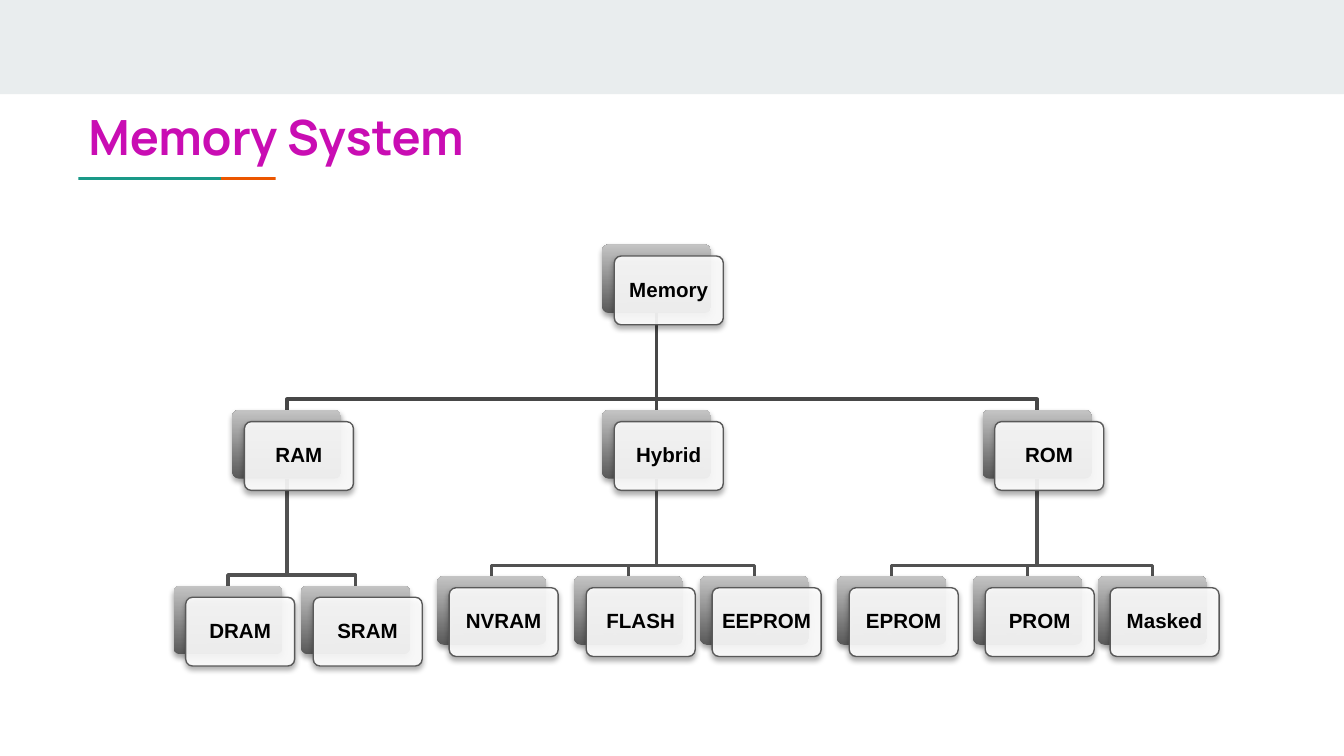
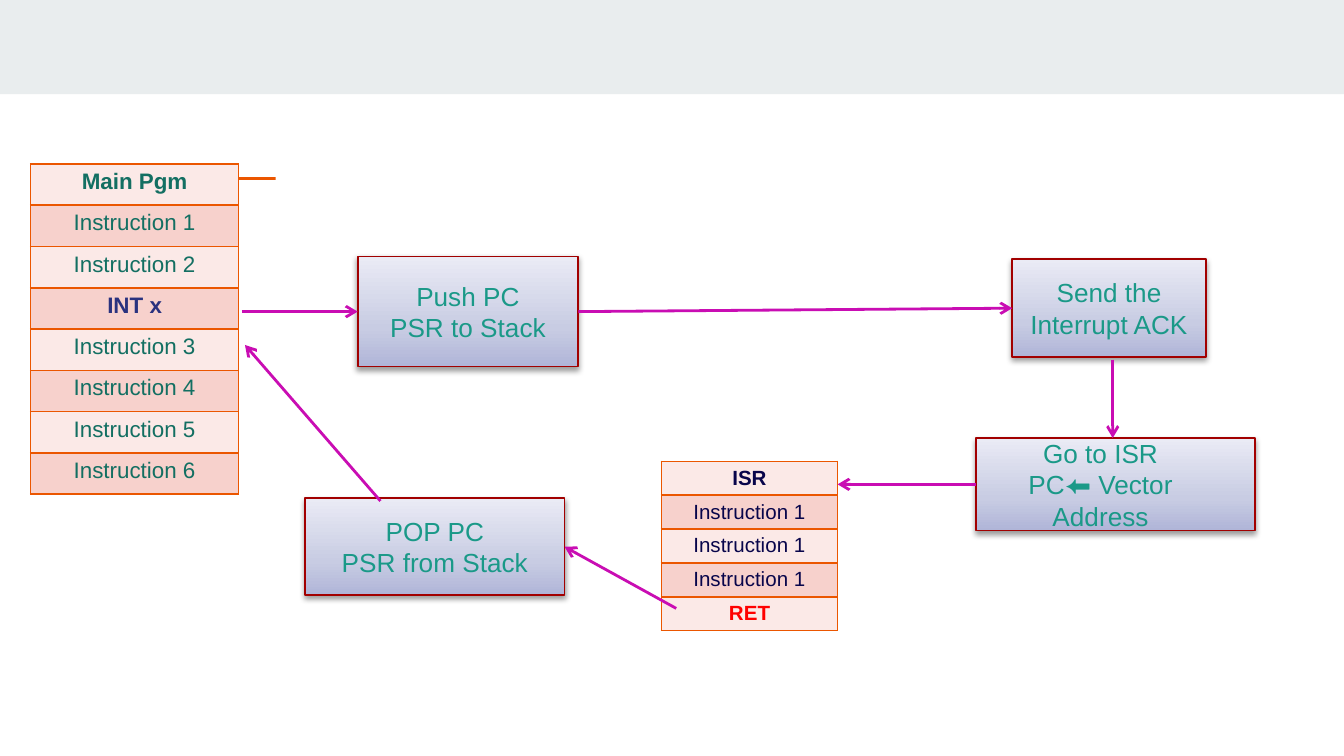
from collections import namedtuple
from dataclasses import dataclass

from lxml.etree import SubElement
from pptx import Presentation
from pptx.dml.color import RGBColor
from pptx.enum.shapes import MSO_CONNECTOR as Connector, MSO_SHAPE as Preset
from pptx.enum.text import MSO_ANCHOR as Anchor, PP_ALIGN as Align
from pptx.oxml import parse_xml
from pptx.oxml.ns import nsdecls, qn
from pptx.util import Cm, Pt


@dataclass(frozen=True)
class Theme:
    title_font: str = "Manrope"
    body_font: str = "Arial"
    title_size: float = 26
    step_size: float = 14
    program_size: float = 12
    small_size: float = 11
    band: str = "E9EDEE"
    teal: str = "1A9988"
    orange: str = "EB5600"
    magenta: str = "C90DB3"
    white: str = "FFFFFF"
    black: str = "000000"
    card_line: str = "595959"
    card_stops: tuple = ((0, "595959"), (100, "C4C4C4"))
    root_link: str = "474747"
    leaf_link: str = "515151"
    step_line: str = "A20000"
    step_stops: tuple = ((0, "B0B5D8"), (35, "C8CCE3"), (100, "EAEBF5"))
    row_fills: tuple = ("FBE9E7", "F7D1CC")
    program_text: str = "136F62"
    interrupt_text: str = "2A327F"
    routine_text: str = "08054B"
    return_text: str = "FF0000"


class Box(namedtuple("Box", "left top width height")):
    @property
    def right(self):
        return self.left + self.width

    @property
    def bottom(self):
        return self.top + self.height

    @property
    def middle(self):
        return self.top + self.height / 2

    def inner(self, left, top, width, height):
        return Box(self.left + left, self.top + top, width, height)

    def point(self, x, y):
        return self.left + x, self.top + y


THEME = Theme()
SLIDE = Box(0, 0, 25.4, 14.29)
CARD_SIZE = (2.06, 1.3)
MEMORY_TREE = (
    "Memory", 8.1, 0, (
        ("RAM", 1.11, 3.13, (("DRAM", 0, 6.45, ()), ("SRAM", 2.41, 6.45, ()))),
        ("Hybrid", 8.1, 3.13, (
            ("NVRAM", 4.98, 6.27, ()),
            ("FLASH", 7.57, 6.27, ()),
            ("EEPROM", 9.95, 6.27, ()),
        )),
        ("ROM", 15.29, 3.13, (
            ("EPROM", 12.54, 6.27, ()),
            ("PROM", 15.11, 6.27, ()),
            ("Masked", 17.47, 6.27, ()),
        )),
    ),
)


def set_values(target, values):
    for name, value in values.items():
        setattr(target, name, value)


def lengths(values):
    return [Cm(value) for value in values]


def color(code):
    return RGBColor.from_string(code)


def set_line(line, code, width):
    line.color.rgb = color(code)
    line.width = Pt(width)


def write_paragraph(paragraph, text, size, code, font=THEME.body_font, bold=False, align=Align.CENTER):
    paragraph.alignment = align
    run = paragraph.add_run()
    run.text = text
    set_values(run.font, {"name": font, "size": Pt(size), "bold": bold})
    run.font.color.rgb = color(code)


def set_frame(frame, margin, anchor):
    set_values(frame, {"word_wrap": True, "vertical_anchor": anchor})
    sides = ("margin_left", "margin_top", "margin_right", "margin_bottom")
    set_values(frame, dict.fromkeys(sides, Cm(margin)))


def add_block(slide, box, fill=None, preset=Preset.RECTANGLE):
    shape = slide.shapes.add_shape(preset, *lengths(box))
    shape.shadow.inherit = False
    shape.line.fill.background()
    if fill:
        shape.fill.solid()
        shape.fill.fore_color.rgb = color(fill)
    return shape


def set_gradient(shape, stops):
    shape.fill.background()
    marks = "".join(
        f'<a:gs pos="{place * 1000}"><a:srgbClr val="{code}"/></a:gs>' for place, code in stops
    )
    gradient = parse_xml(
        f'<a:gradFill {nsdecls("a")} rotWithShape="1"><a:gsLst>{marks}</a:gsLst>'
        '<a:lin ang="16200000" scaled="0"/></a:gradFill>'
    )
    properties = shape._element.spPr
    properties.replace(properties.find(qn("a:noFill")), gradient)


def add_shadow(shape, alpha, distance):
    effects = shape._element.spPr.find(qn("a:effectLst"))
    effects.append(parse_xml(
        f'<a:outerShdw {nsdecls("a")} blurRad="{Pt(3.1)}" dist="{Pt(distance)}" dir="5400000" '
        f'rotWithShape="0"><a:srgbClr val="{THEME.black}"><a:alpha val="{alpha * 1000}"/>'
        '</a:srgbClr></a:outerShdw>'
    ))


def add_line(slide, start, end, code, width, arrow=False):
    connector = slide.shapes.add_connector(Connector.STRAIGHT, *lengths(start + end))
    set_line(connector.line, code, width)
    if arrow:
        SubElement(connector.line._get_or_add_ln(), qn("a:tailEnd"), type="arrow")
    SubElement(connector._element.spPr, qn("a:effectLst"))


def add_backdrop(slide, box):
    add_block(slide, box.inner(0, 0, box.width, 1.78), THEME.band)
    add_block(slide, box.inner(1.48, 3.35, 2.7, 0.05), THEME.teal)
    add_block(slide, box.inner(4.18, 3.35, 1.03, 0.05), THEME.orange)


def add_title(slide, box, text):
    frame = slide.shapes.add_textbox(*lengths(box)).text_frame
    set_frame(frame, 0.25, Anchor.TOP)
    write_paragraph(frame.paragraphs[0], text, THEME.title_size, THEME.magenta,
                    THEME.title_font, True, Align.LEFT)


def add_card(slide, box, text):
    back = add_block(slide, box, preset=Preset.ROUNDED_RECTANGLE)
    set_gradient(back, THEME.card_stops)
    front = add_block(slide, box.inner(0.23, 0.22, box.width, box.height),
                      THEME.white, Preset.ROUNDED_RECTANGLE)
    SubElement(front._element.spPr.find(qn("a:solidFill"))[0], qn("a:alpha"), val="90000")
    set_line(front.line, THEME.card_line, 0.75)
    for shape in (back, front):
        shape.adjustments[0] = 0.1
        add_shadow(shape, 35, 1.8)
    set_frame(front.text_frame, 0.12, Anchor.MIDDLE)
    paragraph = front.text_frame.paragraphs[0]
    paragraph.line_spacing = 0.9
    write_paragraph(paragraph, text, THEME.small_size, THEME.black, bold=True)


def add_link(slide, parent, child, code):
    start, end = ((card.left + card.width / 2) for card in (parent, child))
    if start == end:
        add_line(slide, (start, parent.bottom), (end, child.top), code, 2)
        return
    turn = child.top - 0.2
    points = [lengths(point) for point in
              ((start, parent.bottom), (start, turn), (end, turn), (end, child.top))]
    builder = slide.shapes.build_freeform(*points[0])
    builder.add_line_segments(points[1:], close=False)
    shape = builder.convert_to_shape()
    shape.shadow.inherit = False
    shape.fill.background()
    set_line(shape.line, code, 2)


def add_links(slide, box, node, code):
    _, left, top, children = node
    parent = box.inner(left, top, *CARD_SIZE)
    for child in children:
        add_links(slide, box, child, THEME.leaf_link)
        add_link(slide, parent, box.inner(child[1], child[2], *CARD_SIZE), code)


def add_cards(slide, box, node):
    text, left, top, children = node
    add_card(slide, box.inner(left, top, *CARD_SIZE), text)
    for child in children:
        add_cards(slide, box, child)


def add_listing(slide, box, rows, size):
    frame = slide.shapes.add_table(len(rows), 1, *lengths(box))
    table = frame.table
    set_values(table, {"first_row": False, "horz_banding": False})
    for index, (text, code, bold) in enumerate(rows):
        table.rows[index].height = Cm(box.height / len(rows))
        cell = table.cell(index, 0)
        set_values(cell, {"margin_left": Cm(0.25), "margin_right": Cm(0.25),
                          "margin_top": Cm(0.1), "margin_bottom": Cm(0.1)})
        properties = cell._tc.get_or_add_tcPr()
        for side in "LRTB":
            properties.append(parse_xml(
                f'<a:ln{side} {nsdecls("a")} w="{Pt(1)}"><a:solidFill>'
                f'<a:srgbClr val="{THEME.orange}"/></a:solidFill></a:ln{side}>'
            ))
        cell.fill.solid()
        cell.fill.fore_color.rgb = color(THEME.row_fills[index % 2])
        write_paragraph(cell.text_frame.paragraphs[0], text, size, code, bold=bold)


def add_step(slide, box, lines):
    shape = add_block(slide, box)
    set_gradient(shape, THEME.step_stops)
    set_line(shape.line, THEME.step_line, 1)
    add_shadow(shape, 38, 1.6)
    frame = shape.text_frame
    set_frame(frame, 0.25, Anchor.MIDDLE)
    set_values(frame, {"margin_top": Cm(0.13), "margin_bottom": Cm(0.13)})
    for index, text in enumerate(lines):
        paragraph = frame.add_paragraph() if index else frame.paragraphs[0]
        write_paragraph(paragraph, text, THEME.step_size, THEME.teal)
    return shape


def add_interrupt_flow(slide, box):
    program = box.inner(0, 0, 3.93, 6.24)
    push = box.inner(6.18, 1.75, 4.17, 2.08)
    acknowledge = box.inner(18.55, 1.8, 3.66, 1.85)
    routine = box.inner(11.92, 5.62, 3.33, 3.2)
    pop = box.inner(5.19, 6.32, 4.9, 1.83)
    jump = box.inner(17.86, 5.18, 5.28, 1.75)

    program_rows = [(f"Instruction {number}", THEME.program_text, False) for number in range(1, 7)]
    program_rows.insert(0, ("Main Pgm", THEME.program_text, True))
    program_rows.insert(3, ("INT x", THEME.interrupt_text, True))
    add_listing(slide, program, program_rows, THEME.program_size)
    add_step(slide, push, ("Push PC", "PSR to Stack"))
    add_step(slide, acknowledge, ("Send the Interrupt ACK",))
    routine_rows = [("ISR", THEME.routine_text, True)]
    routine_rows += [("Instruction 1", THEME.routine_text, False)] * 3
    routine_rows.append(("RET", THEME.return_text, True))
    add_listing(slide, routine, routine_rows, THEME.small_size)
    add_step(slide, pop, ("POP PC", "PSR from Stack"))
    jump_step = add_step(slide, jump, ("Go to ISR", "PC⬅ Vector Address"))
    first_line = jump_step.text_frame.paragraphs[0]
    first_line._p.get_or_add_pPr().set("marR", str(Cm(0.56)))

    down = acknowledge.left + 1.9
    arrows = (
        ((down, acknowledge.bottom + 0.05), (down, jump.top)),
        (routine.point(0.28, 2.78), (pop.right, pop.middle)),
        (pop.point(1.42, 0.05), program.point(4.05, 3.42)),
        ((push.right, push.middle), (acknowledge.left, acknowledge.middle)),
        ((jump.left, jump.middle), (routine.right, jump.middle)),
        ((program.right + 0.06, push.middle), (push.left, push.middle)),
    )
    for start, end in arrows:
        add_line(slide, start, end, THEME.magenta, 1.5, arrow=True)


def build_memory_slide(slide, box):
    add_backdrop(slide, box)
    tree = box.inner(3.28, 4.62, 19.76, 7.97)
    add_links(slide, tree, MEMORY_TREE, THEME.root_link)
    add_cards(slide, tree, MEMORY_TREE)
    add_title(slide, box.inner(1.42, 1.78, 21.36, 1.5), "Memory System")


def build_interrupt_slide(slide, box):
    add_backdrop(slide, box)
    add_interrupt_flow(slide, box.inner(0.58, 3.1, 23.14, 8.82))


def main():
    presentation = Presentation()
    set_values(presentation, {"slide_width": Cm(SLIDE.width), "slide_height": Cm(SLIDE.height)})
    for build in (build_memory_slide, build_interrupt_slide):
        build(presentation.slides.add_slide(presentation.slide_layouts[6]), SLIDE)
    presentation.save("out.pptx")


if __name__ == "__main__":
    main()
